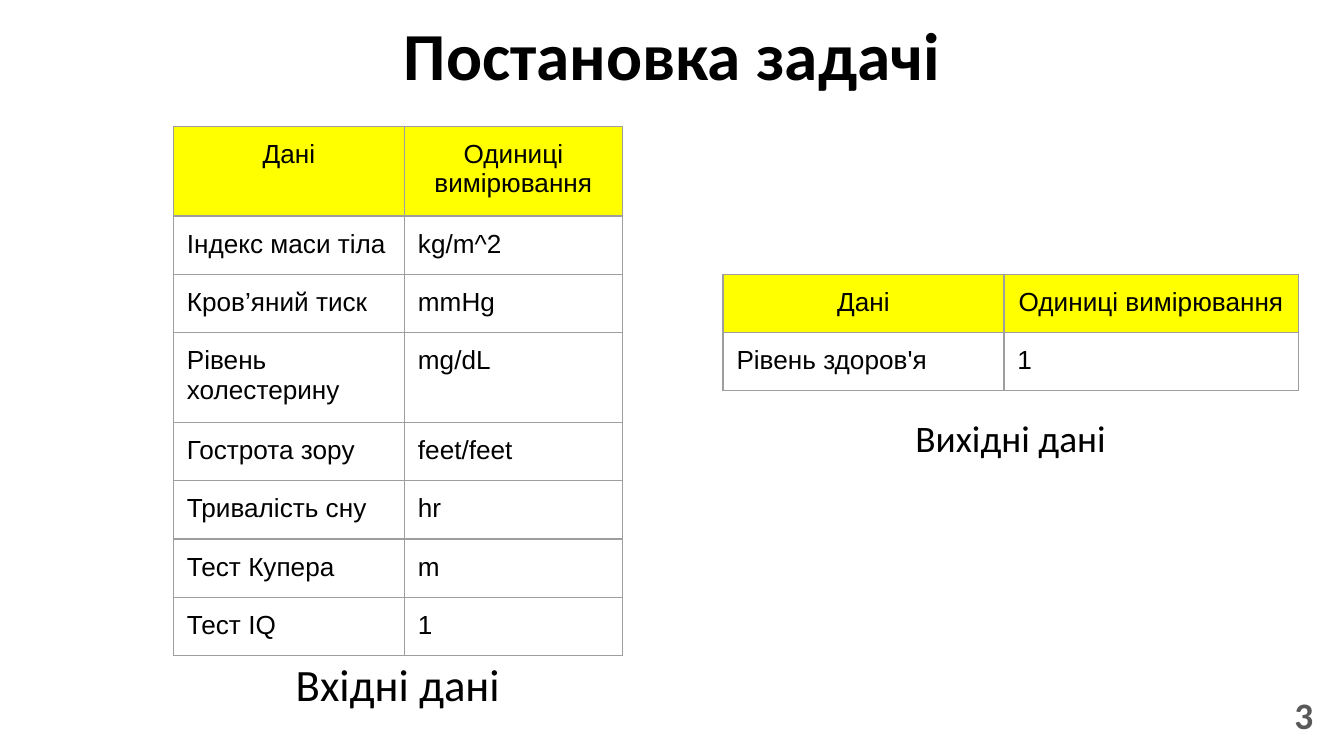
from dataclasses import dataclass

from lxml import etree
from pptx import Presentation
from pptx.dml.color import RGBColor
from pptx.enum import text
from pptx.oxml import ns
from pptx.slide import Slide
from pptx.util import Inches, Pt

ALIGN = text.PP_ALIGN
ANCHOR = text.MSO_ANCHOR


@dataclass(frozen=True)
class Theme:
    ink: str = "000000"
    muted: str = "595959"
    header: str = "FFFF00"
    grid: str = "9E9E9E"
    grid_width: float = 0.75
    heading_font: str = "Calibri"
    table_font: str = "Arial"
    title_size: int = 36
    input_caption_size: int = 24
    output_caption_size: int = 20
    number_size: int = 20
    table_size: int = 14
    inset: float = 0.1
    row_height: float = 0.42


THEME = Theme()


@dataclass(frozen=True)
class Label:
    wording: str
    left: float
    top: float
    width: float
    height: float
    size: int
    bold: bool = False
    color: str = THEME.ink
    align: ALIGN = ALIGN.CENTER
    anchor: ANCHOR = ANCHOR.TOP
    space_after: int = 0


@dataclass(frozen=True)
class DataTable:
    left: float
    top: float
    height: float
    columns: tuple[float, ...]
    rows: tuple[tuple[str, str], ...]


HEADER = ("Дані", "Одиниці вимірювання")

TITLE = Label("Постановка задачі", 0.34, 0, 9.32, 0.77, THEME.title_size, bold=True)
INPUT_CAPTION = Label("Вхідні дані", 1.29, 4.79, 3.34, 0.5,
                      THEME.input_caption_size, space_after=12)
OUTPUT_CAPTION = Label("Вихідні дані", 5.38, 2.99, 4.28, 0.5,
                       THEME.output_caption_size, space_after=12)
PAGE_NUMBER = Label("3", 9.27, 5.1, 0.6, 0.43, THEME.number_size, bold=True,
                    color=THEME.muted, align=ALIGN.RIGHT, anchor=ANCHOR.MIDDLE)

INPUT_TABLE = DataTable(1.29, 0.94, 3.93, (1.72, 1.62), (
    HEADER,
    ("Індекс маси тіла", "kg/m^2"),
    ("Кров’яний тиск", "mmHg"),
    ("Рівень холестерину", "mg/dL"),
    ("Гострота зору", "feet/feet"),
    ("Тривалість сну", "hr"),
    ("Тест Купера", "m"),
    ("Тест IQ", "1"),
))
OUTPUT_TABLE = DataTable(5.38, 2.04, 0.87, (2.09, 2.19), (
    HEADER,
    ("Рівень здоров'я", "1"),
))


def set_insets(target) -> None:
    for side in ("left", "top", "right", "bottom"):
        setattr(target, f"margin_{side}", Inches(THEME.inset))


def write(para, wording: str, color: str, align: ALIGN, **font_format) -> None:
    para.alignment = align
    para.line_spacing = 1.0
    span = para.add_run()
    span.text = wording
    for name, value in font_format.items():
        setattr(span.font, name, value)
    span.font.color.rgb = RGBColor.from_string(color)


def add_label(page: Slide, label: Label) -> None:
    box = page.shapes.add_textbox(Inches(label.left), Inches(label.top),
                                  Inches(label.width), Inches(label.height))
    frame = box.text_frame
    frame.word_wrap = True
    frame.vertical_anchor = label.anchor
    set_insets(frame)
    para = frame.paragraphs[0]
    para.space_after = Pt(label.space_after)
    write(para, label.wording, label.color, label.align,
          name=THEME.heading_font, size=Pt(label.size), bold=label.bold)


def add_borders(cell) -> None:
    """Put the four edges ahead of the fill, as the file format requires."""
    properties = cell._tc.get_or_add_tcPr()
    for index, edge in enumerate(("lnL", "lnR", "lnT", "lnB")):
        line = etree.Element(ns.qn(f"a:{edge}"), w=str(Pt(THEME.grid_width)))
        fill = etree.SubElement(line, ns.qn("a:solidFill"))
        etree.SubElement(fill, ns.qn("a:srgbClr"), val=THEME.grid)
        properties.insert(index, line)


def add_data_table(page: Slide, data: DataTable) -> None:
    holder = page.shapes.add_table(
        len(data.rows), len(data.columns), Inches(data.left), Inches(data.top),
        Inches(sum(data.columns)), Inches(THEME.row_height * len(data.rows)),
    )
    table = holder.table
    table.first_row = False
    table.horz_banding = False
    for column, width in zip(table.columns, data.columns):
        column.width = Inches(width)
    for row_index, row in enumerate(data.rows):
        is_header = row_index == 0
        for column_index, wording in enumerate(row):
            cell = table.cell(row_index, column_index)
            set_insets(cell)
            if is_header:
                cell.fill.solid()
                cell.fill.fore_color.rgb = RGBColor.from_string(THEME.header)
            else:
                cell.fill.background()
            add_borders(cell)
            write(cell.text_frame.paragraphs[0], wording, THEME.ink,
                  ALIGN.CENTER if is_header else ALIGN.LEFT,
                  name=THEME.table_font, size=Pt(THEME.table_size), bold=False)
    holder.height = Inches(data.height)


def main() -> None:
    deck = Presentation()
    deck.slide_width = Inches(10)
    deck.slide_height = Inches(10 * 9 / 16)
    page = deck.slides.add_slide(deck.slide_layouts[6])
    for label in (TITLE, INPUT_CAPTION, PAGE_NUMBER):
        add_label(page, label)
    add_data_table(page, INPUT_TABLE)
    add_label(page, OUTPUT_CAPTION)
    add_data_table(page, OUTPUT_TABLE)
    deck.save("out.pptx")


if __name__ == "__main__":
    main()
